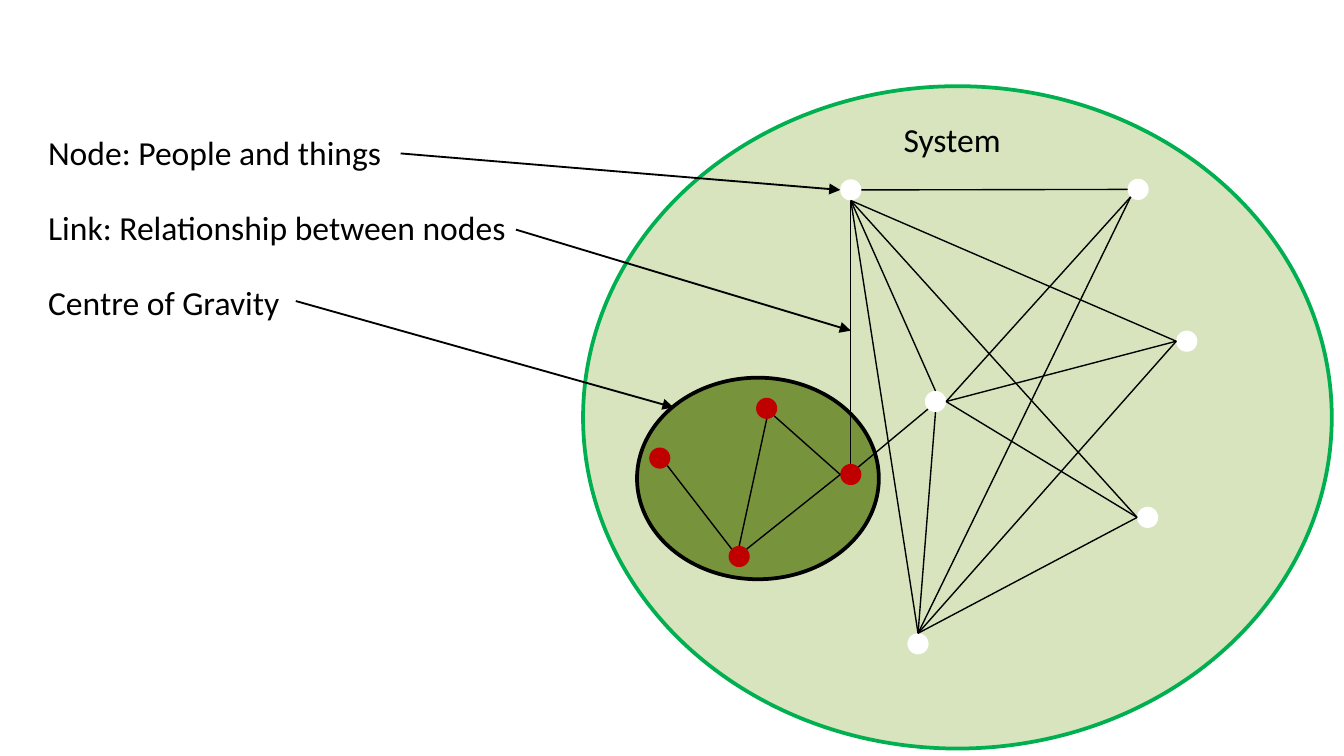
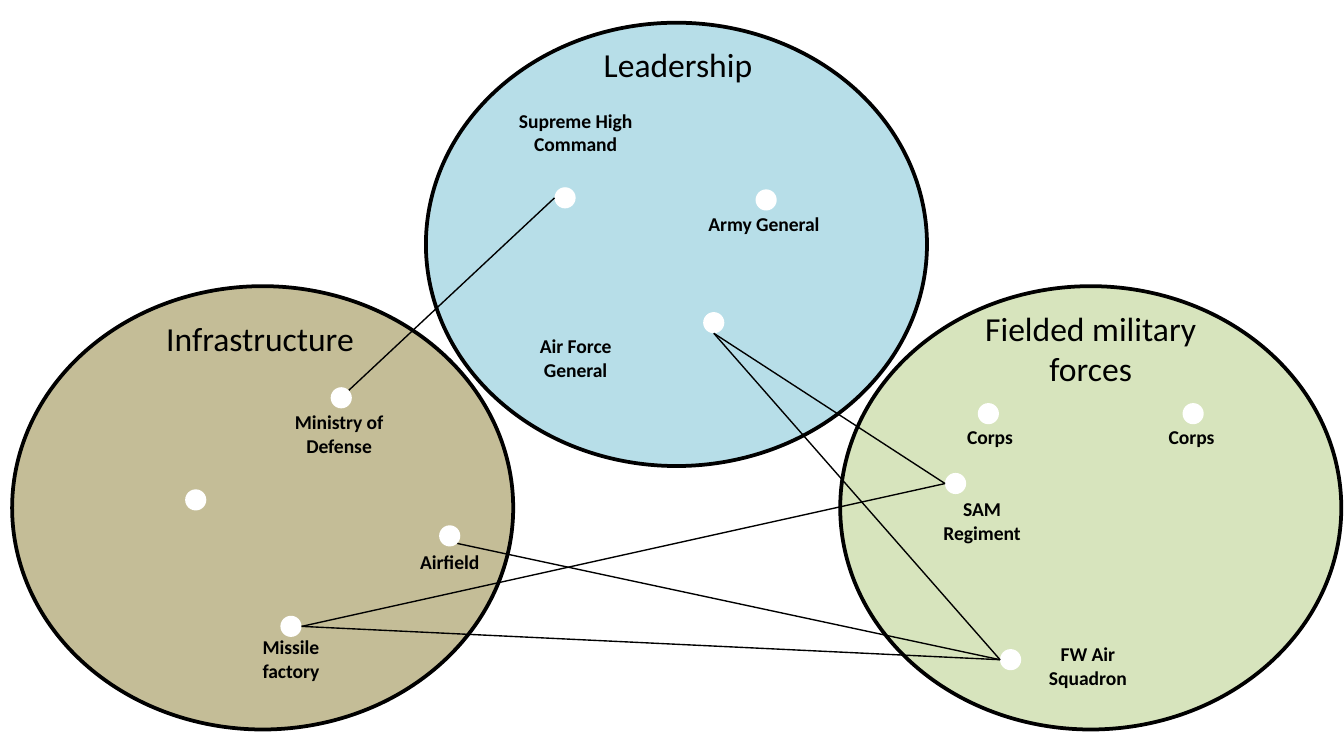
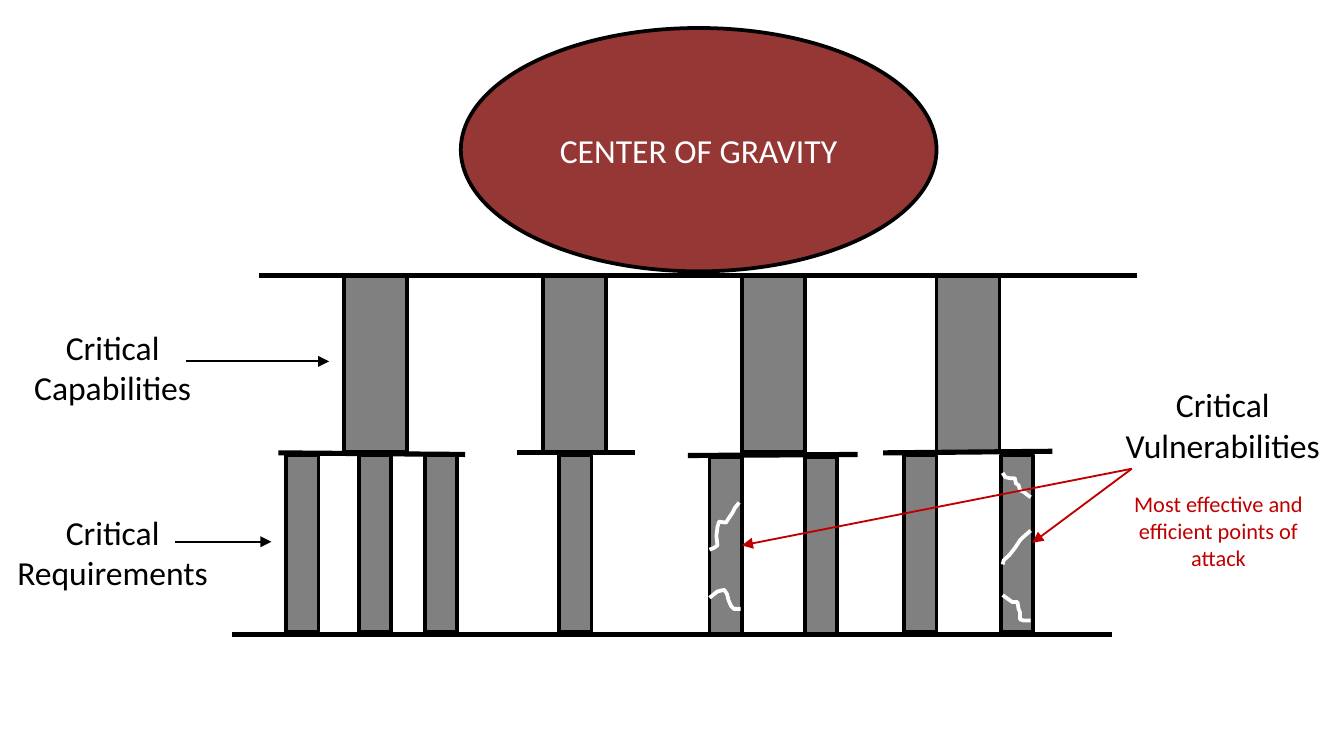
import dataclasses

import lxml.etree
import pptx
import pptx.dml.color
import pptx.enum.shapes
import pptx.enum.text
import pptx.oxml.ns
import pptx.util

Cm = pptx.util.Cm
SHAPES = pptx.enum.shapes.MSO_SHAPE
ALIGN = pptx.enum.text.PP_ALIGN


@dataclasses.dataclass(frozen=True)
class Theme:
    font: str = "Calibri"
    black: str = "000000"
    white: str = "FFFFFF"
    red: str = "C00000"
    dark_red: str = "953735"
    light_green: str = "D7E4BD"
    dark_green: str = "77933C"
    outline_green: str = "00B050"
    tan: str = "C4BD97"
    light_blue: str = "B7DEE8"
    grey: str = "808080"
    label_size: float = 18
    remark_size: float = 12
    node_label_size: float = 10.5
    link_width: float = 0.75
    arrow_width: float = 1
    outline_width: float = 2
    beam_width: float = 2.75


THEME = Theme()
NODE_DIAMETER = 0.4
DIAGONAL = 0.71
DIRECTIONS = {
    "n": (0, -1), "ne": (DIAGONAL, -DIAGONAL), "e": (1, 0), "se": (DIAGONAL, DIAGONAL),
    "s": (0, 1), "sw": (-DIAGONAL, DIAGONAL), "w": (-1, 0), "nw": (-DIAGONAL, -DIAGONAL),
}


def rgb(color):
    return pptx.dml.color.RGBColor.from_string(color)


def add_blank_slide(deck):
    return deck.slides.add_slide(deck.slide_layouts[6])


def set_outline(shape, color, width):
    shape.line.color.rgb = rgb(color)
    shape.line.width = pptx.util.Pt(width)


def add_figure(slide, kind, left, top, width, height, fill, outline=None):
    figure = slide.shapes.add_shape(kind, Cm(left), Cm(top), Cm(width), Cm(height))
    figure.shadow.inherit = False
    figure.fill.solid()
    figure.fill.fore_color.rgb = rgb(fill)
    if outline:
        set_outline(figure, outline, THEME.outline_width)
    else:
        figure.line.fill.background()
    return figure


def write_text(frame, text, size, color, align, bold=False):
    frame.word_wrap = True
    frame.text = text
    for para in frame.paragraphs:
        para.alignment = align
        for span in para.runs:
            span.font.name = THEME.font
            span.font.size = pptx.util.Pt(size)
            span.font.bold = bold
            span.font.color.rgb = rgb(color)


def add_label(slide, text, left, top, width, height, size=THEME.label_size,
              color=THEME.black, align=ALIGN.CENTER, bold=False):
    box = slide.shapes.add_textbox(Cm(left), Cm(top), Cm(width), Cm(height))
    write_text(box.text_frame, text, size, color, align, bold)
    box.text_frame.auto_size = pptx.enum.text.MSO_AUTO_SIZE.SHAPE_TO_FIT_TEXT
    return box


def add_node_label(slide, text, left, top, height):
    box = add_label(slide, text, left, top, 2.16, height, THEME.node_label_size, bold=True)
    frame = box.text_frame
    frame.margin_left = frame.margin_right = frame.margin_top = frame.margin_bottom = 0


def add_line(slide, start, end, width, color=THEME.black):
    line = slide.shapes.add_connector(
        pptx.enum.shapes.MSO_CONNECTOR.STRAIGHT, *(Cm(value) for value in (*start, *end)))
    set_outline(line, color, width)
    lxml.etree.SubElement(line._element.spPr, pptx.oxml.ns.qn("a:effectLst"))
    return line


def add_arrow(slide, start, end, color=THEME.black):
    arrow = add_line(slide, start, end, THEME.arrow_width, color)
    head = lxml.etree.SubElement(arrow.line._get_or_add_ln(), pptx.oxml.ns.qn("a:tailEnd"))
    head.set("type", "triangle")


def add_node(slide, center, color):
    left, top = (value - NODE_DIAMETER / 2 for value in center)
    add_figure(slide, SHAPES.OVAL, left, top, NODE_DIAMETER, NODE_DIAMETER, color)


def node_edge(center, direction):
    """Point on the rim of a node, in a compass direction."""
    return tuple(value + step * NODE_DIAMETER / 2
                 for value, step in zip(center, DIRECTIONS[direction]))


def add_links(slide, nodes, links):
    """Join nodes; each link reads 'node.direction node.direction'."""
    for link in links:
        ends = [end.split(".") for end in link.split()]
        start, end = (node_edge(nodes[name], direction) for name, direction in ends)
        add_line(slide, start, end, THEME.link_width)


def add_crack(slide, points):
    emu_points = [(Cm(x), Cm(y)) for x, y in points]
    builder = slide.shapes.build_freeform(*emu_points[0])
    builder.add_line_segments(emu_points[1:], close=False)
    crack = builder.convert_to_shape()
    crack.shadow.inherit = False
    crack.fill.background()
    set_outline(crack, THEME.white, THEME.outline_width)


def build_system_slide(deck):
    slide = add_blank_slide(deck)
    add_figure(slide, SHAPES.OVAL, 11.02, 1.63, 14.15, 12.52,
               THEME.light_green, THEME.outline_green)
    add_figure(slide, SHAPES.OVAL, 12.04, 7.14, 4.57, 3.81, THEME.dark_green, THEME.black)

    gravity_nodes = {
        "left": (12.47, 8.66), "right": (16.08, 8.97),
        "top": (14.49, 7.72), "bottom": (13.97, 10.52),
    }
    outer_nodes = {
        "northwest": (16.08, 3.59), "northeast": (21.51, 3.58), "east": (22.43, 6.45),
        "southeast": (21.69, 9.78), "south": (17.35, 12.17), "center": (17.68, 7.59),
    }
    for nodes, color in ((gravity_nodes, THEME.red), (outer_nodes, THEME.white)):
        for center in nodes.values():
            add_node(slide, center, color)
    add_links(slide, gravity_nodes | outer_nodes, [
        "northwest.e northeast.w", "southeast.w center.e", "south.n southeast.w",
        "bottom.nw left.se", "top.se right.w", "bottom.n top.s", "right.w bottom.ne",
        "center.e northeast.sw", "center.e east.w", "south.n center.s", "south.n east.w",
        "south.n northeast.sw", "center.n northwest.s", "east.w northwest.s",
        "southeast.w northwest.s", "south.n northwest.s", "center.sw right.ne",
        "right.n northwest.s",
    ])

    add_label(slide, "System", 15.29, 2.13, 5.41, 1.02)
    terms = [
        ("Node: People and things", 8.53, (7.57, 2.9),
         node_edge(outer_nodes["northwest"], "w")),
        ("Link: Relationship between nodes", 10.11, (9.75, 4.34), (16.08, 6.25)),
        ("Centre of Gravity", 10.11, (5.59, 5.69), (12.73, 7.7)),
    ]
    for index, (term, width, start, end) in enumerate(terms):
        add_label(slide, term, 0.66, 2.36 + 1.42 * index, width, 1.02, align=ALIGN.LEFT)
        add_arrow(slide, start, end)


def build_network_slide(deck):
    slide = add_blank_slide(deck)
    for left, top, fill in ((15.88, 5.41, THEME.light_green), (0.23, 5.41, THEME.tan),
                            (8.05, 0.43, THEME.light_blue)):
        add_figure(slide, SHAPES.OVAL, left, top, 9.47, 8.38, fill, THEME.black)
    add_label(slide, "Fielded military forces", 18.06, 5.69, 5.11, 1.8)
    add_label(slide, "Leadership", 10.11, 0.71, 5.41, 1.02)
    add_label(slide, "Infrastructure", 2.21, 5.89, 5.41, 1.02)

    nodes = {
        "command": (10.68, 3.74), "army": (14.48, 3.78), "air_force": (13.49, 6.1),
        "ministry": (6.45, 7.52), "unnamed": (3.7, 9.45), "airfield": (8.5, 10.13),
        "factory": (5.5, 11.84), "corps_left": (18.68, 7.82), "corps_right": (22.55, 7.82),
        "regiment": (18.06, 9.14), "squadron": (19.1, 12.47),
    }
    for center in nodes.values():
        add_node(slide, center, THEME.white)
    add_links(slide, nodes, [
        "air_force.s regiment.w", "air_force.s squadron.w", "ministry.ne command.w",
        "airfield.se squadron.w", "factory.e regiment.w", "factory.e squadron.w",
    ])

    one_line, two_lines, three_lines = 0.46, 0.89, 1.35
    for text, left, top, height in (
            ("Supreme High Command", 9.8, 2.06, three_lines),
            ("Army General", 13.36, 4.01, one_line),
            ("Air Force General", 9.8, 6.32, two_lines),
            ("Ministry of Defense", 5.33, 7.75, two_lines),
            ("Airfield", 7.42, 10.39, one_line),
            ("Missile factory", 4.42, 12.01, two_lines),
            ("Corps", 17.63, 8.03, one_line),
            ("Corps", 21.44, 8.03, one_line),
            ("SAM Regiment", 17.48, 9.4, two_lines),
            ("FW Air Squadron", 19.48, 12.14, two_lines)):
        add_node_label(slide, text, left, top, height)


def add_pillar(slide, left, top, width):
    add_figure(slide, SHAPES.RECTANGLE, left, top, width, 3.33, THEME.grey, THEME.black)


def add_beam(slide, start, end):
    add_line(slide, start, end, THEME.beam_width)


def build_pillars_slide(deck):
    slide = add_blank_slide(deck)
    gravity = add_figure(slide, SHAPES.OVAL, 8.71, 0.53, 8.99, 4.6,
                         THEME.dark_red, THEME.black)
    write_text(gravity.text_frame, "CENTER OF GRAVITY", THEME.label_size,
               THEME.white, ALIGN.CENTER)
    gravity.text_frame.vertical_anchor = pptx.enum.text.MSO_ANCHOR.MIDDLE

    add_beam(slide, (4.9, 5.21), (21.49, 5.21))
    for capability, ledge_start, ledge_end, top, requirements in (
            (6.5, (5.26, 8.56), (8.79, 8.59), 8.61, (5.41, 6.78, 8.03)),
            (10.26, (9.78, 8.56), (12.01, 8.56), 8.61, (10.57,)),
            (14.02, (13, 8.61), (16.21, 8.59), 8.65, (13.41, 15.21)),
            (17.7, (16.69, 8.56), (19.89, 8.53), 8.61, (17.09, 18.92))):
        add_pillar(slide, capability, 5.22, 1.19)
        add_beam(slide, ledge_start, ledge_end)
        for left in requirements:
            add_pillar(slide, left, top, 0.61)
    add_beam(slide, (4.39, 11.99), (21.01, 11.99))

    cracks = [
        [(18.95, 8.94), (19, 9.02), (19.08, 9.04), (19.18, 9.04), (19.2, 9.14),
         (19.25, 9.17), (19.28, 9.27), (19.35, 9.3), (19.41, 9.35), (19.48, 9.4)],
        [(19.48, 10.03), (19.33, 10.16), (19.28, 10.21), (19.18, 10.36), (19.08, 10.49),
         (18.97, 10.59), (18.95, 10.67)],
        [(18.95, 11.25), (19.13, 11.38), (19.23, 11.38), (19.25, 11.51), (19.28, 11.58),
         (19.28, 11.71), (19.35, 11.73), (19.48, 11.73)],
        [(13.97, 9.5), (13.89, 9.6), (13.84, 9.7), (13.77, 9.8), (13.72, 9.88),
         (13.59, 9.86), (13.56, 9.96), (13.54, 10.13), (13.56, 10.31), (13.49, 10.36),
         (13.41, 10.39)],
        [(13.41, 11.3), (13.56, 11.18), (13.69, 11.15), (13.74, 11.23), (13.77, 11.35),
         (13.82, 11.46), (13.87, 11.51), (14, 11.51)],
    ]
    for points in cracks:
        add_crack(slide, points)

    for text, left, top in (("Critical\nCapabilities", 0.03, 6.05),
                            ("Critical\nRequirements", 0.03, 9.55),
                            ("Critical\nVulnerabilities", 21.01, 7.14)):
        add_label(slide, text, left, top, 4.2, 1.8)
    add_label(slide, "Most effective and efficient points of attack", 20.93, 9.14, 4.2, 1.8,
              THEME.remark_size, THEME.red)
    add_arrow(slide, (3.51, 6.83), (6.22, 6.83))
    add_arrow(slide, (3.3, 10.24), (5.13, 10.24))
    for weak_point in ((19.51, 10.26), (14.02, 10.31)):
        add_arrow(slide, (21.39, 8.86), weak_point, THEME.red)


def main():
    deck = pptx.Presentation()
    deck.slide_width = Cm(25.4)
    deck.slide_height = Cm(14.29)
    build_system_slide(deck)
    build_network_slide(deck)
    build_pillars_slide(deck)
    deck.save("out.pptx")


if __name__ == "__main__":
    main()
